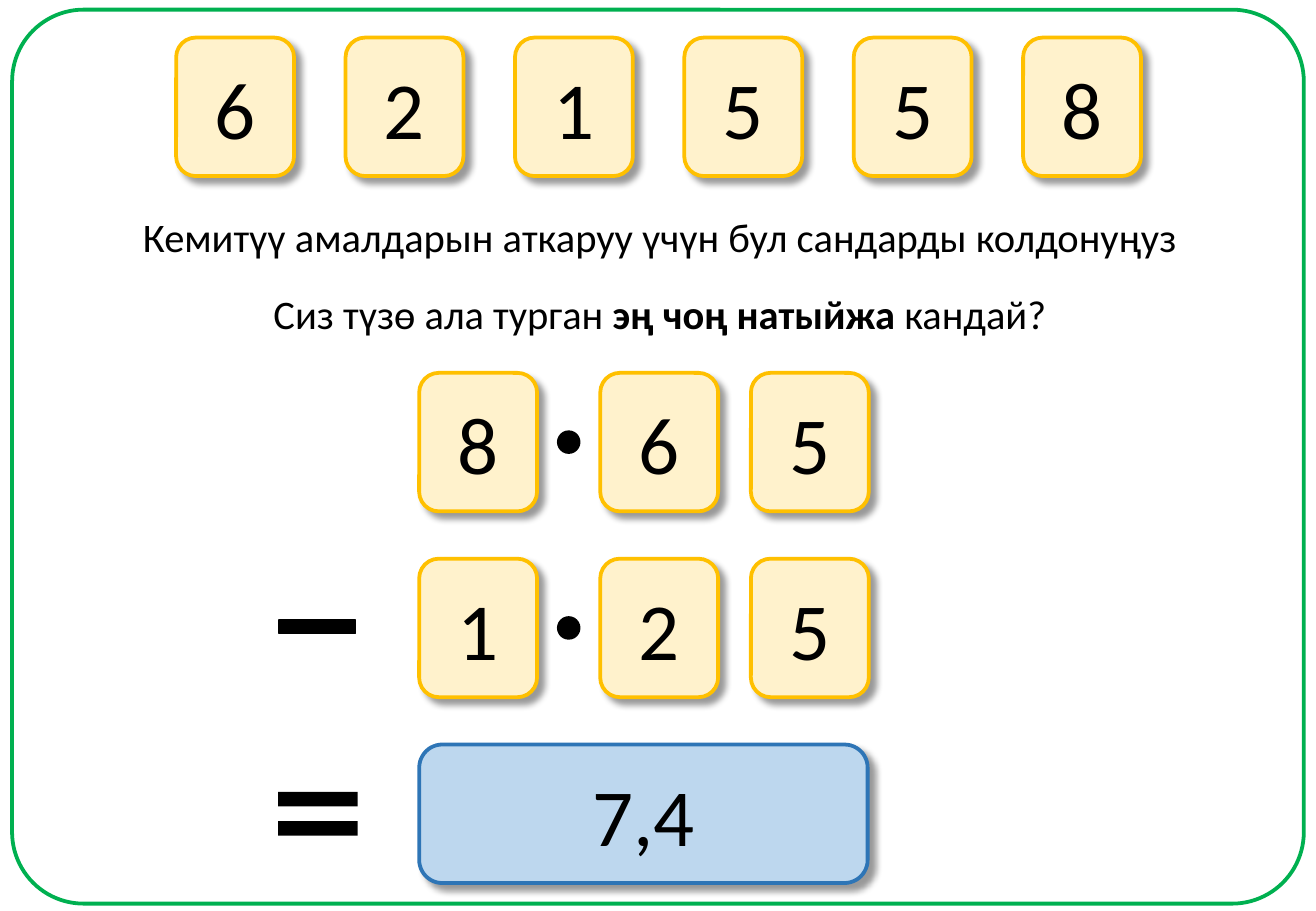
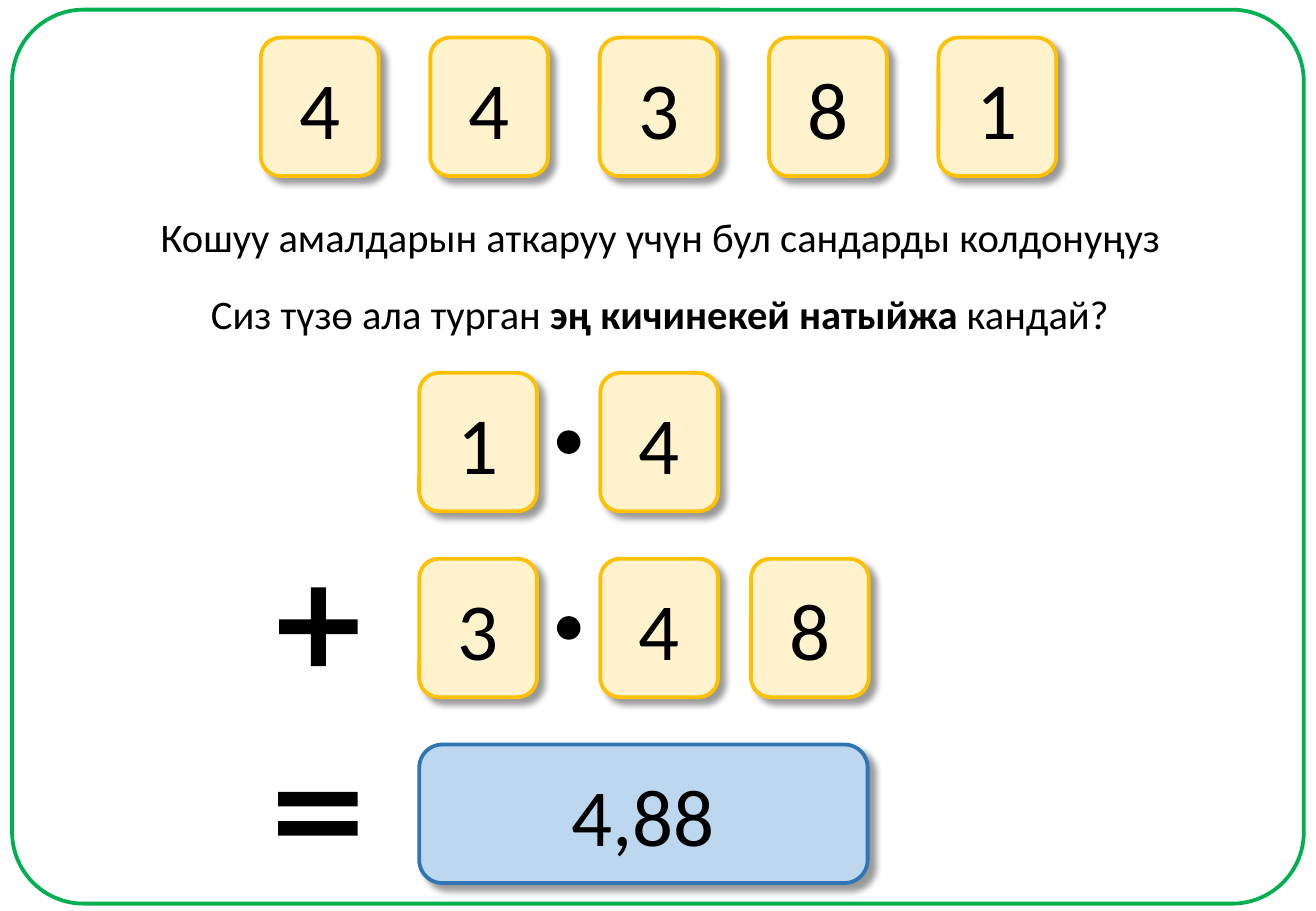
from pptx import Presentation
from pptx.dml.color import RGBColor
from pptx.enum.shapes import MSO_SHAPE as SHAPE
from pptx.enum.text import MSO_ANCHOR as ANCHOR, PP_ALIGN as ALIGN
from pptx.oxml import parse_xml
from pptx.oxml.ns import nsdecls, qn
from pptx.util import Pt

PX = 9144  # 100 px to the inch
FONT = "Calibri"
BLACK, GREEN = "000000", "00B050"
CARD = ("FFF2CC", "FFC000")
ANSWER = ("BDD7EE", "2E75B6")
CARD_W, CARD_H = 97, 114
MIDDLE, PITCH = 542, 139.4  # centre and step of the top row of cards
COLUMNS = (345, 494, 618)  # ones, tenths, hundredths
ROWS = (307, 460)
SHADOW = (
    f'<a:outerShdw {nsdecls("a")} blurRad="50800" dist="63500" dir="2700000" '
    'algn="tl" rotWithShape="0"><a:srgbClr val="000000">'
    '<a:alpha val="40000"/></a:srgbClr></a:outerShdw>'
)

SLIDES = [
    dict(cards="621558", numbers=("865", "125"), result="7,4",
         task="Кемитүү амалдарын аткаруу үчүн бул сандарды колдонуңуз",
         goal="эң чоң натыйжа ", widths=(880, 662),
         sign=(SHAPE.MATH_MINUS, 218, 473, 86, 86, [0.13], BLACK)),
    dict(cards="44381", numbers=("14", "348"), result="4,88",
         task="Кошуу амалдарын аткаруу үчүн бул сандарды колдонуңуз",
         goal="эң кичинекей натыйжа ", widths=(851, 766),
         sign=(SHAPE.MATH_PLUS, 218, 472, 88, 88, [0.14], None)),
]


def rgb(color):
    return RGBColor.from_string(color)


def add_shape(slide, kind, x, y, w, h, fill, line, line_w=2.25, adj=(), text=""):
    """Draw a preset shape; one that carries text is a card with a shadow."""
    s = slide.shapes.add_shape(kind, round(x * PX), y * PX, w * PX, h * PX)
    s.shadow.inherit = False
    for i, value in enumerate(adj):
        s.adjustments[i] = value
    for part, color in ((s.fill, fill), (s.line.fill, line)):
        if color:
            part.solid()
            part.fore_color.rgb = rgb(color)
        else:
            part.background()
    if line:
        s.line.width = Pt(line_w)
    if text:
        s._element.spPr.find(qn("a:effectLst")).append(parse_xml(SHADOW))
        tf = s.text_frame
        tf.vertical_anchor = ANCHOR.MIDDLE
        p = tf.paragraphs[0]
        p.alignment = ALIGN.CENTER
        r = p.add_run()
        r.text = text
        r.font.name, r.font.size = FONT, Pt(48)
        r.font.color.rgb = rgb(BLACK)


prs = Presentation()
prs.slide_width, prs.slide_height = 1083 * PX, 750 * PX

for data in SLIDES:
    slide = prs.slides.add_slide(prs.slide_layouts[6])

    # Green frame
    add_shape(slide, SHAPE.ROUNDED_RECTANGLE, 10, 8, 1063, 736, None, GREEN, adj=[0.08])

    # Available digits, centred in one row
    first = MIDDLE - ((len(data["cards"]) - 1) * PITCH + CARD_W) / 2
    for i, digit in enumerate(data["cards"]):
        add_shape(slide, SHAPE.ROUNDED_RECTANGLE, first + i * PITCH, 31,
                  CARD_W, CARD_H, *CARD, text=digit)

    # Task and question
    question = [("Сиз түзө ала турган ", False), (data["goal"], True), ("кандай?", False)]
    lines = ([(data["task"], False)], question)
    for y, w, runs in zip((170, 233), data["widths"], lines):
        tf = slide.shapes.add_textbox((543 - w // 2) * PX, y * PX, w * PX, 50 * PX).text_frame
        tf.word_wrap = False
        p = tf.paragraphs[0]
        p.alignment = ALIGN.CENTER
        for text, bold in runs:
            r = p.add_run()
            r.text = text
            r.font.name, r.font.size, r.font.bold = FONT, Pt(24), bold
            r.font.color.rgb = rgb(BLACK)

    # The two decimal numbers with their points
    for y, number in zip(ROWS, data["numbers"]):
        for x, digit in zip(COLUMNS, number):
            add_shape(slide, SHAPE.ROUNDED_RECTANGLE, x, y, CARD_W, CARD_H, *CARD, text=digit)
        add_shape(slide, SHAPE.OVAL, 459, y + 48, 18, 18, BLACK, BLACK, 1)

    # Operation sign, equals sign and result
    kind, x, y, w, h, adj, line = data["sign"]
    add_shape(slide, kind, x, y, w, h, BLACK, line, 1, adj)
    add_shape(slide, SHAPE.MATH_EQUAL, 217, 620, 89, 100, BLACK, None, adj=[0.12, 0.12])
    add_shape(slide, SHAPE.ROUNDED_RECTANGLE, COLUMNS[0], 613, 369, CARD_H,
              *ANSWER, text=data["result"])

prs.save("out.pptx")
